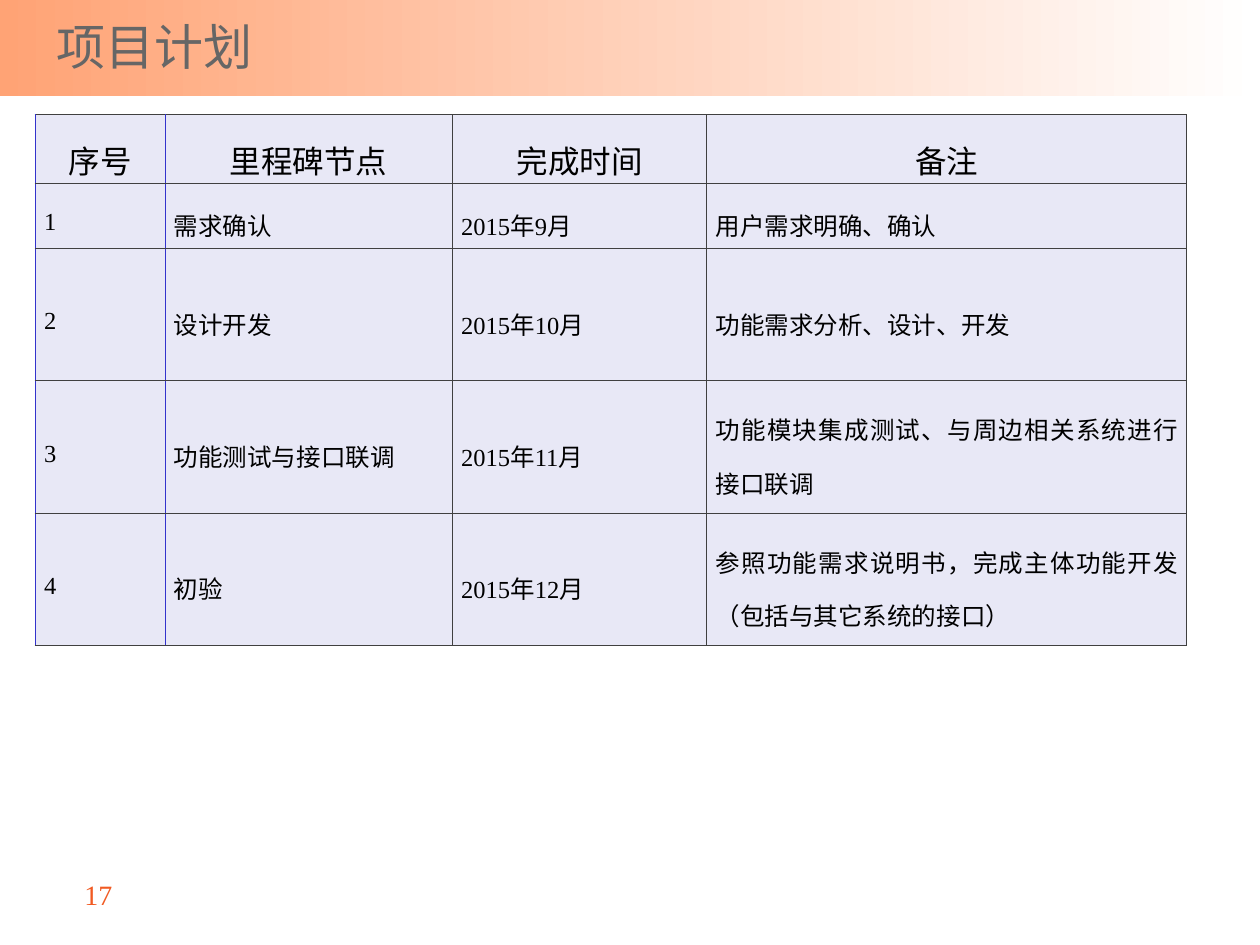
from dataclasses import dataclass

from lxml.etree import SubElement
from pptx import Presentation
from pptx.dml.color import RGBColor
from pptx.enum.shapes import MSO_SHAPE
from pptx.enum.text import MSO_ANCHOR, PP_ALIGN
from pptx.oxml.ns import qn
from pptx.util import Inches, Pt


@dataclass(frozen=True)
class Theme:
    band: str = "FFA375"
    white: str = "FFFFFF"
    title: str = "666666"
    number: str = "F15A22"
    ink: str = "000000"
    cell: str = "E8E8F6"
    index_rule: str = "3333CC"
    rule: str = "404040"
    latin: str = "Times New Roman"
    chinese: str = "Noto Sans CJK SC"
    title_size: int = 28
    header_size: int = 18
    number_size: int = 16
    body_size: int = 14


THEME = Theme()
COLUMN_WIDTHS = [1.03, 2.28, 2.02, 3.81]
ROW_HEIGHTS = [0.52, 0.52, 1.05, 1.05, 1.05]
HEADINGS = ["序号", "里程碑节点", "完成时间", "备注"]
MILESTONES = [
    ("需求确认", "2015年9月", "用户需求明确、确认"),
    ("设计开发", "2015年10月", "功能需求分析、设计、开发"),
    ("功能测试与接口联调", "2015年11月", "功能模块集成测试、与周边相关系统进行接口联调"),
    ("初验", "2015年12月", "参照功能需求说明书，完成主体功能开发（包括与其它系统的接口）"),
]


def add_span(para, text, size, color, latin=THEME.latin):
    span = para.add_run()
    span.text = text
    span.font.size = Pt(size)
    span.font.name = latin
    span.font.color.rgb = RGBColor.from_string(color)
    SubElement(span.font._element, qn("a:ea"), typeface=THEME.chinese)


def add_band(page):
    band = page.shapes.add_shape(
        MSO_SHAPE.RECTANGLE, 0, 0, Inches(10), Inches(0.76))
    band.shadow.inherit = False
    band.line.fill.background()
    band.fill.gradient()
    band.fill.gradient_angle = 0
    for stop, color in zip(band.fill.gradient_stops, (THEME.band, THEME.white)):
        stop.color.rgb = RGBColor.from_string(color)
    page.shapes.element.insert(2, band.element)


def set_title(page, text):
    title = page.shapes.title
    title.left, title.top = Inches(0.35), Inches(0.05)
    title.width, title.height = Inches(9.65), Inches(0.63)
    title.text_frame.vertical_anchor = MSO_ANCHOR.MIDDLE
    para = title.text_frame.paragraphs[0]
    para.alignment = PP_ALIGN.LEFT
    add_span(para, text, THEME.title_size, THEME.title, THEME.chinese)


def add_page_number(page, text):
    box = page.shapes.add_textbox(
        Inches(0.24), Inches(6.93), Inches(0.75), Inches(0.34))
    box.text_frame.word_wrap = True
    box.text_frame.vertical_anchor = MSO_ANCHOR.MIDDLE
    para = box.text_frame.paragraphs[0]
    para.alignment = PP_ALIGN.RIGHT
    add_span(para, text, THEME.number_size, THEME.number)


def add_border(cell, side, color, width):
    line = SubElement(cell._tc.get_or_add_tcPr(), qn(f"a:ln{side}"),
                      w=str(Pt(width)))
    fill = SubElement(line, qn("a:solidFill"))
    SubElement(fill, qn("a:srgbClr"), val=color)


def format_cell(cell, text, column, is_header):
    left_color = THEME.index_rule if column < 2 else THEME.rule
    right_color = THEME.index_rule if column == 0 else THEME.rule
    add_border(cell, "L", left_color, 1 if column == 0 else 0.5)
    add_border(cell, "R", right_color, 0.5)
    add_border(cell, "T", THEME.rule, 0.5)
    add_border(cell, "B", THEME.rule, 0.5)
    cell.fill.solid()
    cell.fill.fore_color.rgb = RGBColor.from_string(THEME.cell)
    cell.margin_left = cell.margin_right = Inches(0.07)
    cell.margin_top = cell.margin_bottom = 0
    cell.vertical_anchor = MSO_ANCHOR.TOP if is_header else MSO_ANCHOR.MIDDLE
    para = cell.text_frame.paragraphs[0]
    para.alignment = PP_ALIGN.CENTER if is_header else PP_ALIGN.JUSTIFY
    para.line_spacing = 1.5
    para.space_after = Pt(7.8)
    size = THEME.header_size if is_header else THEME.body_size
    add_span(para, text, size, THEME.ink)


def add_plan_table(page):
    rows = [HEADINGS] + [
        (str(number), *milestone)
        for number, milestone in enumerate(MILESTONES, start=1)]
    table = page.shapes.add_table(
        len(rows), len(HEADINGS), Inches(0.28), Inches(0.91),
        Inches(sum(COLUMN_WIDTHS)), Inches(sum(ROW_HEIGHTS))).table
    table.horz_banding = False
    table.first_row = False
    for column, width in zip(table.columns, COLUMN_WIDTHS):
        column.width = Inches(width)
    for row, height in zip(table.rows, ROW_HEIGHTS):
        row.height = Inches(height)
    for row_index, texts in enumerate(rows):
        for column, text in enumerate(texts):
            format_cell(table.cell(row_index, column), text, column,
                        row_index == 0)


def main():
    deck = Presentation()
    deck.slide_width, deck.slide_height = Inches(10), Inches(7.5)
    page = deck.slides.add_slide(deck.slide_layouts[5])
    add_band(page)
    set_title(page, "项目计划")
    add_plan_table(page)
    add_page_number(page, "17")
    deck.save("out.pptx")


if __name__ == "__main__":
    main()
